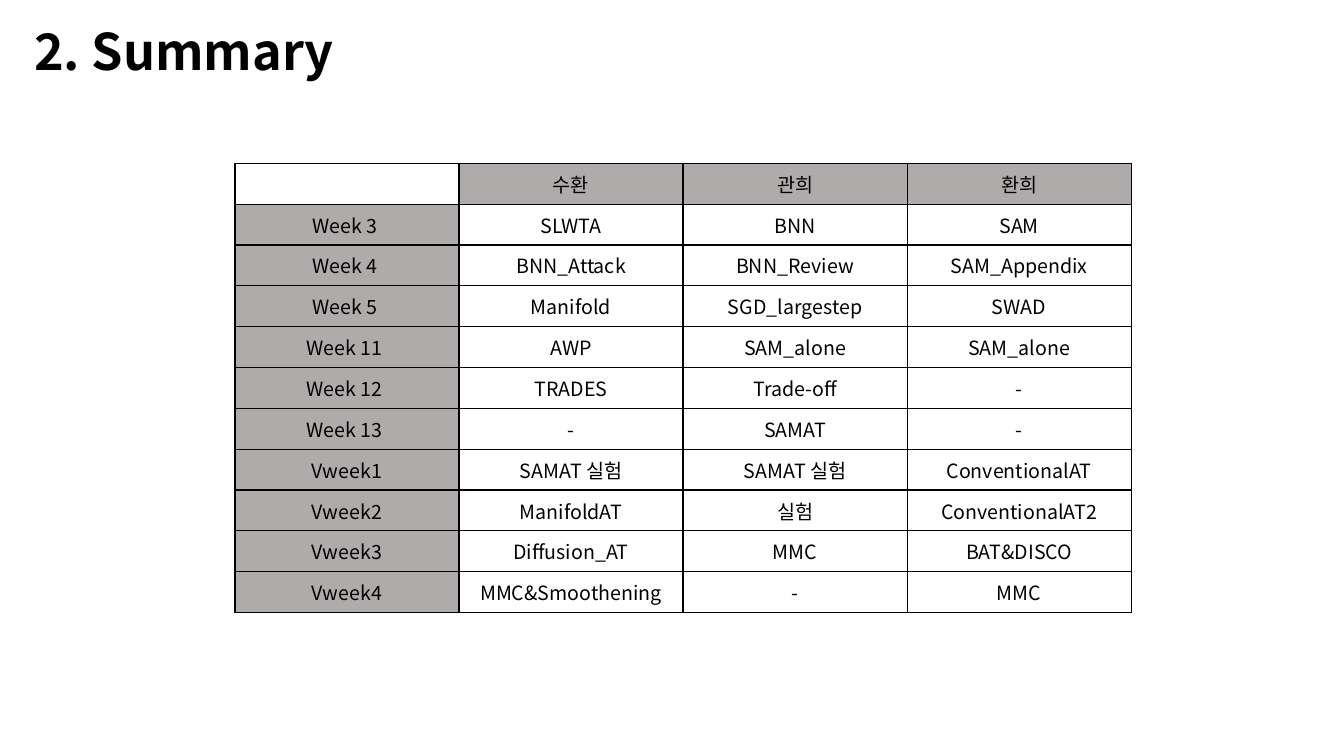
"""Build the weekly summary slide: a title above a schedule table."""
from lxml import etree
from pptx import Presentation
from pptx.dml.color import RGBColor
from pptx.enum.text import MSO_ANCHOR, PP_ALIGN
from pptx.oxml.ns import qn
from pptx.util import Inches, Pt

TITLE = "2. Summary"
SCHEDULE = [
    ("", "수환", "관희", "환희"),
    ("Week 3 ", "SLWTA", "BNN", "SAM"),
    ("Week 4 ", "BNN_Attack", "BNN_Review", "SAM_Appendix"),
    ("Week 5 ", "Manifold", "SGD_largestep", "SWAD"),
    ("Week 11 ", "AWP", "SAM_alone", "SAM_alone"),
    ("Week 12 ", "TRADES", "Trade-off", "-"),
    ("Week 13 ", "-", "SAMAT", "-"),
    ("Vweek1", "SAMAT 실험", "SAMAT 실험", "ConventionalAT"),
    ("Vweek2", "ManifoldAT", "실험", "ConventionalAT2"),
    ("Vweek3", "Diffusion_AT", "MMC", "BAT&DISCO"),
    ("Vweek4", "MMC&Smoothening", "-", "MMC"),
]

FONT = "Noto Sans CJK KR"
BLACK = RGBColor(0x00, 0x00, 0x00)
GRAY = RGBColor(0xAF, 0xAB, 0xAB)
LEFT, CENTER = PP_ALIGN.LEFT, PP_ALIGN.CENTER
TOP, MIDDLE = MSO_ANCHOR.TOP, MSO_ANCHOR.MIDDLE
TABLE_LEFT, TABLE_TOP = Inches(2.33), Inches(1.62)
TABLE_WIDTH, TABLE_HEIGHT = Inches(8.89), Inches(4.46)


def write(frame, text, size=14, bold=False, align=CENTER, spacing=None):
    """Put one formatted line of text into a text frame."""
    paragraph = frame.paragraphs[0]
    paragraph.alignment = align
    paragraph.line_spacing = spacing
    run = paragraph.add_run()
    run.text = text
    font = run.font
    font.name, font.size, font.bold = FONT, Pt(size), bold
    font.color.rgb = BLACK
    east_asian = etree.SubElement(font._element, qn("a:ea"))
    east_asian.set("typeface", FONT)


def add_borders(cell):
    """Draw a thin black line on each side of a cell."""
    properties = cell._tc.get_or_add_tcPr()
    for side in ("a:lnL", "a:lnR", "a:lnT", "a:lnB"):
        line = etree.SubElement(properties, qn(side), w=str(Pt(1)))
        fill = etree.SubElement(line, qn("a:solidFill"))
        etree.SubElement(fill, qn("a:srgbClr"), val=str(BLACK))


def add_title(slide):
    """Add the slide title."""
    title = slide.shapes.add_textbox(Inches(0.24), Inches(0.22), Inches(13.06), Inches(0.71))
    frame = title.text_frame
    frame.word_wrap = True
    frame.vertical_anchor = TOP
    write(frame, TITLE, size=36, bold=True, align=LEFT, spacing=0.9)


def add_schedule(slide):
    """Add the table with shaded header row and week column."""
    row_count, column_count = len(SCHEDULE), len(SCHEDULE[0])
    schedule = slide.shapes.add_table(
        row_count, column_count, TABLE_LEFT, TABLE_TOP, TABLE_WIDTH, TABLE_HEIGHT
    ).table
    schedule.first_row = schedule.horz_banding = False
    for r, entries in enumerate(SCHEDULE):
        for c, entry in enumerate(entries):
            cell = schedule.cell(r, c)
            cell.vertical_anchor = MIDDLE
            write(cell.text_frame, entry)
            add_borders(cell)
            if (r == 0) != (c == 0):
                cell.fill.solid()
                cell.fill.fore_color.rgb = GRAY
            else:
                cell.fill.background()


def main():
    """Create the presentation and save it."""
    deck = Presentation()
    deck.slide_width, deck.slide_height = Inches(13.33), Inches(7.5)
    slide = deck.slides.add_slide(deck.slide_layouts[6])
    add_title(slide)
    add_schedule(slide)
    deck.save("out.pptx")


if __name__ == "__main__":
    main()
